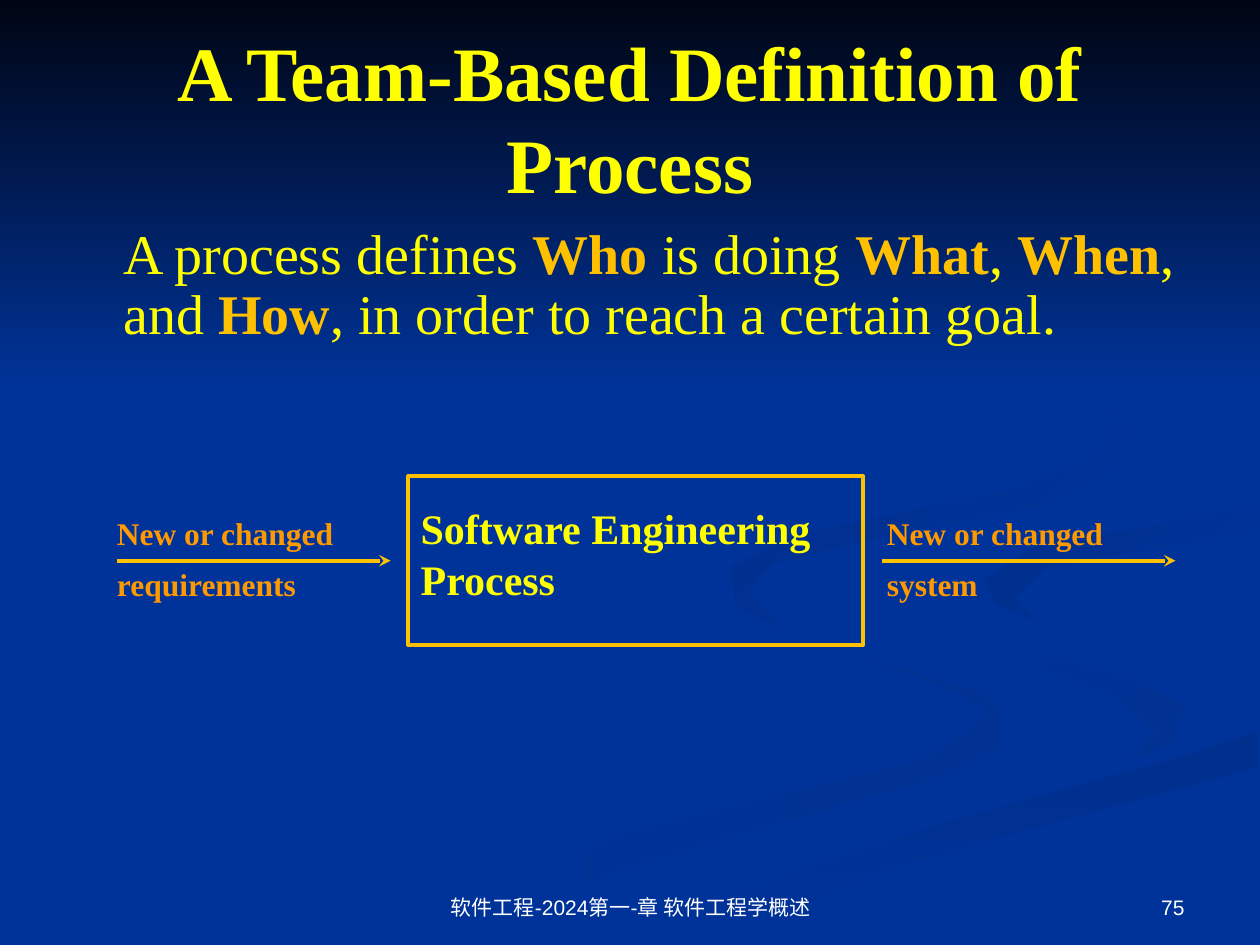
"""Build the slide 'A Team-Based Definition of Process'."""
from lxml.etree import SubElement
from pptx import Presentation
from pptx.dml.color import RGBColor
from pptx.enum.shapes import MSO_CONNECTOR, MSO_SHAPE
from pptx.enum.text import MSO_ANCHOR, PP_ALIGN
from pptx.oxml.ns import qn
from pptx.util import Inches, Pt

BLUE = RGBColor(0x00, 0x33, 0x99)
NIGHT = RGBColor(0x00, 0x05, 0x14)
SHADE = RGBColor(0x00, 0x2F, 0x8D)
SOFT_SHADE = RGBColor(0x00, 0x31, 0x93)
YELLOW = RGBColor(0xFF, 0xFF, 0x00)
GOLD = RGBColor(0xFF, 0xC0, 0x00)
ORANGE = RGBColor(0xFF, 0x99, 0x00)
WHITE = RGBColor(0xFF, 0xFF, 0xFF)
SERIF, SANS = "Times New Roman", "Arial"

TITLE = "A Team-Based Definition of Process"
DEFINITION = [
    ("A process defines ", False), ("Who ", True), ("is doing ", False),
    ("What", True), (", ", False), ("When", True), (", and ", False),
    ("How", True), (", in order to reach a certain goal.", False),
]
PROCESS = ["Software Engineering", "Process"]
FLOW_LABELS = [
    (0.83, 1.98, ["New or changed", "requirements"]),
    (6.94, 2.04, ["New or changed", "system"]),
]
FLOW_Y = 4.45
FLOW_ARROWS = [(0.93, 3.1), (7, 9.33)]
FOOTERS = [
    (7.17, 2.33, "75", PP_ALIGN.RIGHT),
    (3.42, 3.17, "软件工程-2024第一-章 软件工程学概述", PP_ALIGN.CENTER),
]

RIBBONS = [
    (BLUE, SOFT_SHADE, 0, [
        (7.8, 5.5), (6.8, 5.2), (7.6, 5.5), (7.86, 5.66), (7.4, 6),
        (5, 6.6), (3, 7.49), (3.6, 7.49), (5, 6.87), (7.4, 6.18),
        (7.95, 5.92), (7.95, 5.67)]),
    (BLUE, SOFT_SHADE, 45, [
        (9.4, 5.6), (9, 5.4), (7.6, 5), (7.7, 5.1), (8.8, 5.5),
        (9.18, 5.8), (8.94, 6.05), (9.3, 5.9)]),
    (SHADE, BLUE, 90, [
        (5.03, 7.49), (5.7, 7.49), (7, 6.9), (9.98, 6.09),
        (9.98, 5.81), (9.4, 6), (7.6, 6.5), (6.3, 6.93)]),
    (SHADE, BLUE, 45, [
        (7.81, 4.6), (7.9, 4.78), (8.26, 4.96), (8.05, 4.75),
        (8.3, 4.5), (9.98, 4.2), (9.98, 4.02), (8.2, 4.35)]),
    (SHADE, BLUE, 45, [
        (6.8, 4.3), (8.3, 4), (8.8, 3.75), (8.94, 3.44), (8.8, 3.1),
        (8.89, 3.35), (8.7, 3.65), (8, 3.9), (6.3, 4.25), (5.8, 4.5),
        (5.84, 4.8), (6.22, 5), (5.93, 4.7), (6.14, 4.48)]),
]


def shade(shape, first, last, angle):
    shape.shadow.inherit = False
    shape.line.fill.background()
    shape.fill.gradient()
    shape.fill.gradient_angle = (360 - angle) % 360
    for stop, color, position in zip(shape.fill.gradient_stops, (first, last), (0, 1)):
        stop.color.rgb = color
        stop.position = position


def set_font(font, size, color, name=SERIF, bold=False):
    font.size, font.name, font.bold = Pt(size), name, bold
    font.color.rgb = color


def add_box(slide, left, top, width, height):
    frame = slide.shapes.add_textbox(*map(Inches, (left, top, width, height))).text_frame
    frame.word_wrap = True
    return frame


def write_lines(frame, lines, size, color):
    for index, line in enumerate(lines):
        paragraph = frame.paragraphs[0] if index == 0 else frame.add_paragraph()
        paragraph.text = line
        paragraph.alignment = PP_ALIGN.LEFT
        paragraph.line_spacing = Pt(20)
        paragraph.space_before = Pt(9 if index else 0)
        set_font(paragraph.font, size, color, bold=True)


def add_backdrop(slide):
    slide.background.fill.solid()
    slide.background.fill.fore_color.rgb = BLUE
    for first, last, angle, points in RIBBONS:
        start, *rest = [(Inches(x), Inches(y)) for x, y in points]
        outline = slide.shapes.build_freeform(*start)
        outline.add_line_segments(rest, close=True)
        shade(outline.convert_to_shape(), first, last, angle)
    sky = slide.shapes.add_shape(MSO_SHAPE.RECTANGLE, 0, 0, Inches(10), Inches(3.08))
    shade(sky, NIGHT, BLUE, 90)


def add_heading(slide):
    title = slide.shapes.title
    title.left, title.top, title.width, title.height = map(Inches, (0.5, 0.3, 9, 1.25))
    title.text_frame.text = TITLE
    title.text_frame.vertical_anchor = MSO_ANCHOR.MIDDLE
    heading = title.text_frame.paragraphs[0]
    heading.alignment = PP_ALIGN.CENTER
    set_font(heading.font, 44, YELLOW, bold=True)

    definition = add_box(slide, 0.5, 1.75, 9, 4.95).paragraphs[0]
    definition._p.get_or_add_pPr().set("marL", str(Inches(0.38)))
    definition.line_spacing = Pt(34)
    for words, key in DEFINITION:
        run = definition.add_run()
        run.text = words
        set_font(run.font, 32, GOLD if key else YELLOW, bold=key)


def add_flow(slide):
    for left, width, lines in FLOW_LABELS:
        write_lines(add_box(slide, left, 4.05, width, 0.79), lines, 18, ORANGE)

    process = slide.shapes.add_shape(
        MSO_SHAPE.RECTANGLE, *map(Inches, (3.24, 3.78, 3.61, 1.34)))
    process.shadow.inherit = False
    process.fill.background()
    process.line.color.rgb = GOLD
    process.line.width = Pt(2.25)
    process.text_frame.vertical_anchor = MSO_ANCHOR.MIDDLE
    write_lines(process.text_frame, PROCESS, 24, YELLOW)

    for start, end in FLOW_ARROWS:
        arrow = slide.shapes.add_connector(
            MSO_CONNECTOR.STRAIGHT, *map(Inches, (start, FLOW_Y, end, FLOW_Y)))
        arrow.line.color.rgb = GOLD
        arrow.line.width = Pt(2.25)
        SubElement(arrow.line._get_or_add_ln(), qn("a:tailEnd"), type="stealth")
        SubElement(arrow._element.spPr, qn("a:effectLst"))


def add_footers(slide):
    for left, width, words, alignment in FOOTERS:
        frame = add_box(slide, left, 6.83, width, 0.52)
        frame.vertical_anchor = MSO_ANCHOR.BOTTOM
        footer = frame.paragraphs[0]
        footer.text = words
        footer.alignment = alignment
        set_font(footer.font, 12, WHITE, SANS)


def main():
    deck = Presentation()
    deck.slide_width, deck.slide_height = Inches(10), Inches(7.5)
    slide = deck.slides.add_slide(deck.slide_layouts[5])
    add_backdrop(slide)
    slide.shapes._spTree.append(slide.shapes.title._element)
    add_heading(slide)
    add_flow(slide)
    add_footers(slide)
    deck.save("out.pptx")


if __name__ == "__main__":
    main()
